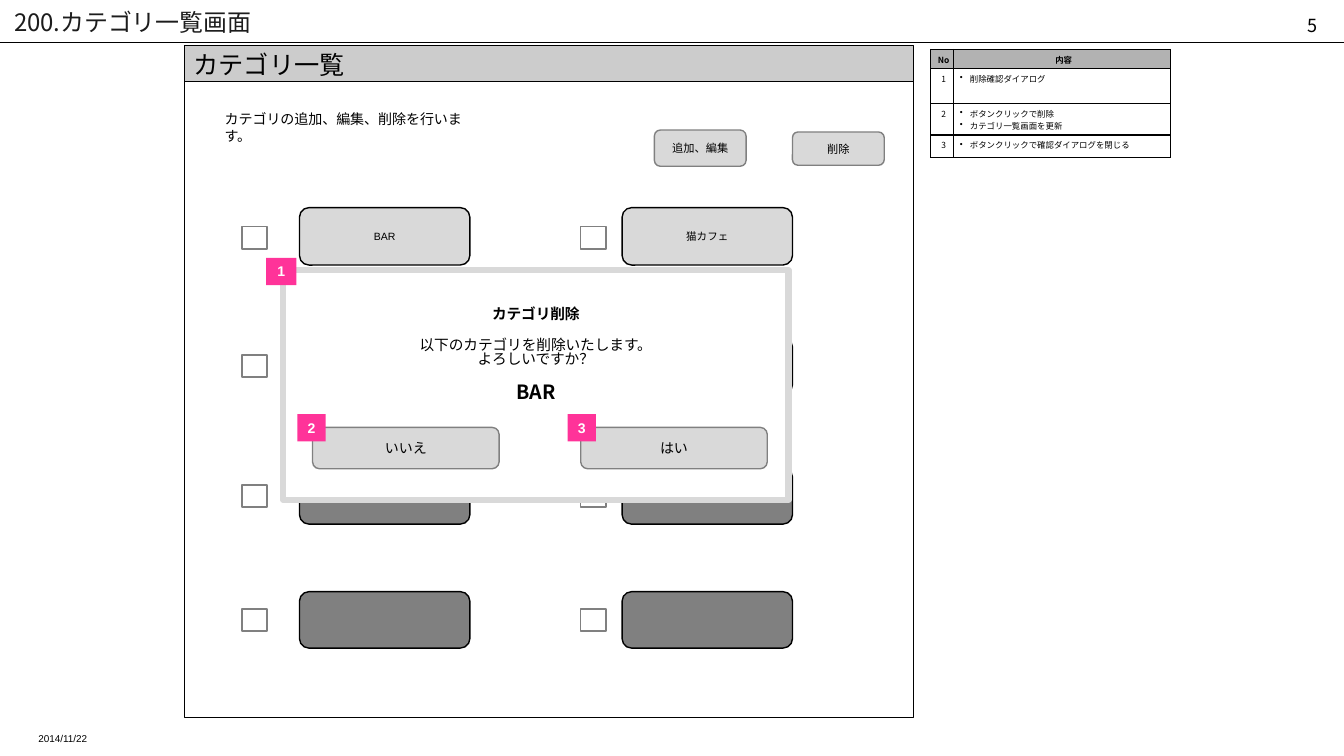
from dataclasses import dataclass
from itertools import product
from lxml.etree import SubElement
from pptx import Presentation
from pptx.dml.color import RGBColor
from pptx.enum.shapes import MSO_CONNECTOR, MSO_SHAPE
from pptx.enum.text import MSO_ANCHOR, MSO_AUTO_SIZE, PP_ALIGN
from pptx.oxml.ns import qn
from pptx.util import Inches, Pt

ARIAL = "Arial"
NOTO = "Noto Sans CJK JP"
BLACK, WHITE, GRAY, LIGHT, PINK = "000000", "FFFFFF", "808080", "D9D9D9", "FF3399"
RECT, ROUND = MSO_SHAPE.RECTANGLE, MSO_SHAPE.ROUNDED_RECTANGLE
LEFT, MID, RIGHT = PP_ALIGN.LEFT, PP_ALIGN.CENTER, PP_ALIGN.RIGHT
TOP, CENTER = MSO_ANCHOR.TOP, MSO_ANCHOR.MIDDLE


@dataclass
class Line:
    text: str
    size: float
    font: str = ARIAL
    bold: bool = False
    color: str = BLACK
    gap: float = 0
    pitch: float | None = None


@dataclass
class Box:
    x: float
    y: float
    wide: float
    high: float
    lines: tuple[Line, ...] = ()
    kind: MSO_SHAPE | None = RECT
    fill: str = WHITE
    edge: str | None = BLACK
    weight: float = 1
    align: PP_ALIGN = MID
    anchor: MSO_ANCHOR = CENTER
    pad: tuple[float, float] = (0.1, 0.05)
    wrap: bool = True
    grow: bool = False


def paint(code: str) -> RGBColor:
    return RGBColor.from_string(code)


def write(para, line: Line, align: PP_ALIGN) -> None:
    para.alignment = align
    if line.pitch:
        para.line_spacing = line.pitch
    if line.gap:
        para.space_before = Pt(line.gap)
    run = para.add_run()
    run.text = line.text
    font = run.font
    font.size = Pt(line.size)
    font.bold = line.bold
    font.color.rgb = paint(line.color)
    font.name = line.font
    if line.font == NOTO:
        SubElement(font._element, qn("a:ea"), typeface=NOTO)


def draw(slide, box: Box) -> None:
    place = [Inches(n) for n in (box.x, box.y, box.wide, box.high)]
    if box.kind is None:
        shape = slide.shapes.add_textbox(*place)
    else:
        shape = slide.shapes.add_shape(box.kind, *place)
        shape.shadow.inherit = False
        shape.fill.solid()
        shape.fill.fore_color.rgb = paint(box.fill)
        if box.edge:
            shape.line.color.rgb = paint(box.edge)
            shape.line.width = Pt(box.weight)
        else:
            shape.line.fill.background()
    frame = shape.text_frame
    frame.word_wrap = box.wrap
    frame.auto_size = MSO_AUTO_SIZE.SHAPE_TO_FIT_TEXT if box.grow else MSO_AUTO_SIZE.NONE
    frame.vertical_anchor = box.anchor
    frame.margin_left = frame.margin_right = Inches(box.pad[0])
    frame.margin_top = frame.margin_bottom = Inches(box.pad[1])
    for index, line in enumerate(box.lines):
        para = frame.add_paragraph() if index else frame.paragraphs[0]
        write(para, line, box.align)


def label(x: float, y: float, wide: float, high: float, line: Line, **more) -> Box:
    look = {"align": LEFT, "anchor": TOP} | more
    return Box(x, y, wide, high, (line,), kind=None, **look)


def button(x: float, y: float, wide: float, high: float, text: str, size: float, **more) -> Box:
    look = {"edge": GRAY} | more
    return Box(x, y, wide, high, (Line(text, size),), ROUND, LIGHT, **look)


def badge(x: float, y: float, wide: float, text: str) -> Box:
    line = Line(text, 10, bold=True, color=WHITE)
    return Box(x, y, wide, 0.27, (line,), fill=PINK, edge=None, anchor=TOP, wrap=False, grow=True)


def rule(slide) -> None:
    line = slide.shapes.add_connector(
        MSO_CONNECTOR.STRAIGHT, Inches(0), Inches(0.42), Inches(13.33), Inches(0.42))
    line.line.color.rgb = paint(BLACK)
    line.line.width = Pt(0.75)
    SubElement(line._element.spPr, qn("a:effectLst"))


def border(cell) -> None:
    props = cell._tc.get_or_add_tcPr()
    for side in ("lnL", "lnR", "lnT", "lnB"):
        line = SubElement(props, qn(f"a:{side}"), w=str(Pt(1)))
        solid = SubElement(line, qn("a:solidFill"))
        SubElement(solid, qn("a:srgbClr"), val=BLACK)


def bullet(para) -> None:
    props = para._p.get_or_add_pPr()
    props.set("marL", str(Inches(0.1)))
    props.set("indent", str(-Inches(0.1)))
    SubElement(props, qn("a:buChar"), char="•")


def table(slide, rows: list[tuple[str, list[str]]], highs: list[float]) -> None:
    grid = slide.shapes.add_table(
        len(rows), 2, Inches(9.23), Inches(0.49), Inches(2.38), Inches(sum(highs))).table
    for col, wide in zip(grid.columns, (0.23, 2.15)):
        col.width = Inches(wide)
    for row, high in zip(grid.rows, highs):
        row.height = Inches(high)
    for r, (mark, notes) in enumerate(rows):
        for c, texts in enumerate(([mark], notes)):
            cell = grid.cell(r, c)
            border(cell)
            cell.fill.solid()
            cell.fill.fore_color.rgb = paint(WHITE if r else "B2B2B2")
            cell.margin_left, cell.margin_right = Inches(0.06), Inches(0.03)
            cell.margin_top = cell.margin_bottom = Inches(0.04)
            listed = r > 0 and c == 1
            for index, text in enumerate(texts):
                frame = cell.text_frame
                para = frame.add_paragraph() if index else frame.paragraphs[0]
                line = Line(text, 6, NOTO, r == 0, gap=0 if listed else 1.2)
                write(para, line, LEFT if listed else MID)
                if listed:
                    bullet(para)


def cards() -> list[Box]:
    names = {(0, 0): "BAR", (0, 1): "猫カフェ"}
    tops, lefts = (2.06, 3.35, 4.64, 5.87), (2.97, 6.17)
    ticks, sides = (2.25, 3.52, 4.81, 6.04), (2.4, 5.76)
    boxes = []
    for r, c in product(range(4), range(2)):
        if (r, c) in names:
            boxes.append(button(lefts[c], tops[r], 1.69, 0.57, names[r, c], 7.5, edge=BLACK))
        elif (r, c) != (1, 0):
            boxes.append(Box(lefts[c], tops[r], 1.69, 0.56, kind=ROUND, fill=GRAY))
        if (r, c) != (1, 1):
            boxes.append(Box(sides[c], ticks[r], 0.25, 0.22, edge=GRAY))
    return boxes


def main() -> None:
    deck = Presentation()
    deck.slide_width, deck.slide_height = Inches(13.33), Inches(7.5)
    slide = deck.slides.add_slide(deck.slide_layouts[6])
    rule(slide)
    tight = {"pad": (0.04, 0.05), "wrap": False}
    prompt = (
        Line("カテゴリ削除", 10.5, NOTO, True, pitch=0.8),
        Line("以下のカテゴリを削除いたします。", 10.5, NOTO, gap=12, pitch=0.8),
        Line("よろしいですか？", 10.5, NOTO, pitch=0.8),
        Line("BAR", 14, NOTO, True, gap=12, pitch=0.8),
    )
    boxes = [
        label(10.06, 0.09, 3.11, 0.15, Line("5", 12.9, NOTO), align=RIGHT),
        Box(1.83, 0.45, 7.23, 5.28, fill="CCCCCC"),
        Box(1.83, 0.81, 7.23, 6.31),
        label(0.24, 7.2, 3.11, 0.15, Line("2014/11/22", 7.1), pad=(0.14, 0.07)),
        label(0, 0.04, 12, 0.35, Line("200.カテゴリ一覧画面", 17.1, NOTO, color="1C1C1C"),
              anchor=CENTER, pad=(0.14, 0.07)),
        label(1.82, 0.44, 2.17, 0.4, Line("カテゴリ一覧", 18), grow=True),
        label(2.13, 1.05, 2.6, 0.27, Line("カテゴリの追加、編集、削除を行います。", 10), grow=True),
        button(6.49, 1.29, 0.91, 0.36, "追加、編集", 8, **tight),
        button(7.86, 1.31, 0.91, 0.33, "削除", 8, **tight),
        *cards(),
        Box(2.81, 2.68, 5.01, 2.28, edge=LIGHT, weight=4.5),
        badge(2.64, 2.56, 0.3, "1"),
        Box(3.16, 3.04, 4.31, 0.98, prompt, edge=None, pad=(0.1, 0.04)),
        button(5.76, 4.24, 1.85, 0.41, "はい", 10),
        button(3.1, 4.24, 1.85, 0.41, "いいえ", 10),
        badge(5.63, 4.11, 0.28, "3"),
        badge(2.95, 4.11, 0.28, "2"),
    ]
    for box in boxes:
        draw(slide, box)
    rows = [
        ("No", ["内容"]),
        ("1", ["削除確認ダイアログ"]),
        ("2", ["ボタンクリックで削除", "カテゴリ一覧画面を更新"]),
        ("3", ["ボタンクリックで確認ダイアログを閉じる"]),
    ]
    table(slide, rows, [0.19, 0.35, 0.31, 0.22])
    deck.save("out.pptx")


if __name__ == "__main__":
    main()
